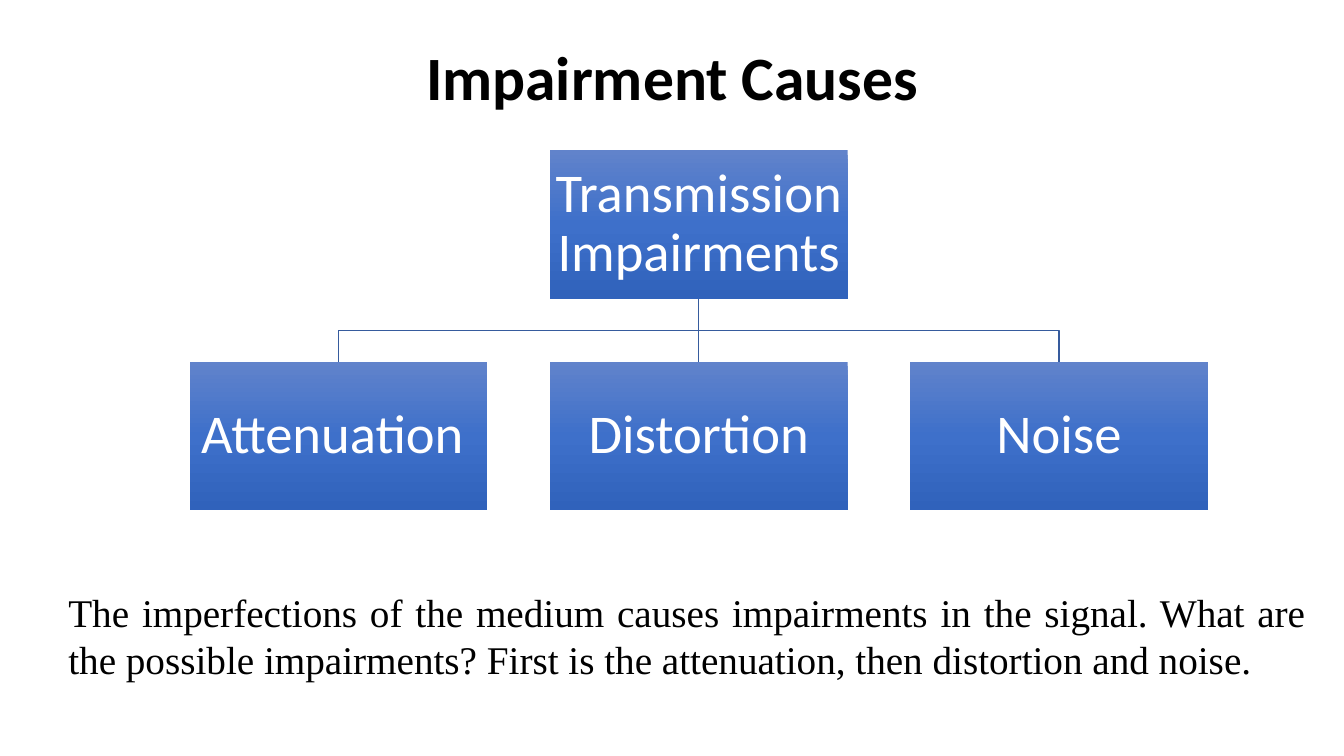
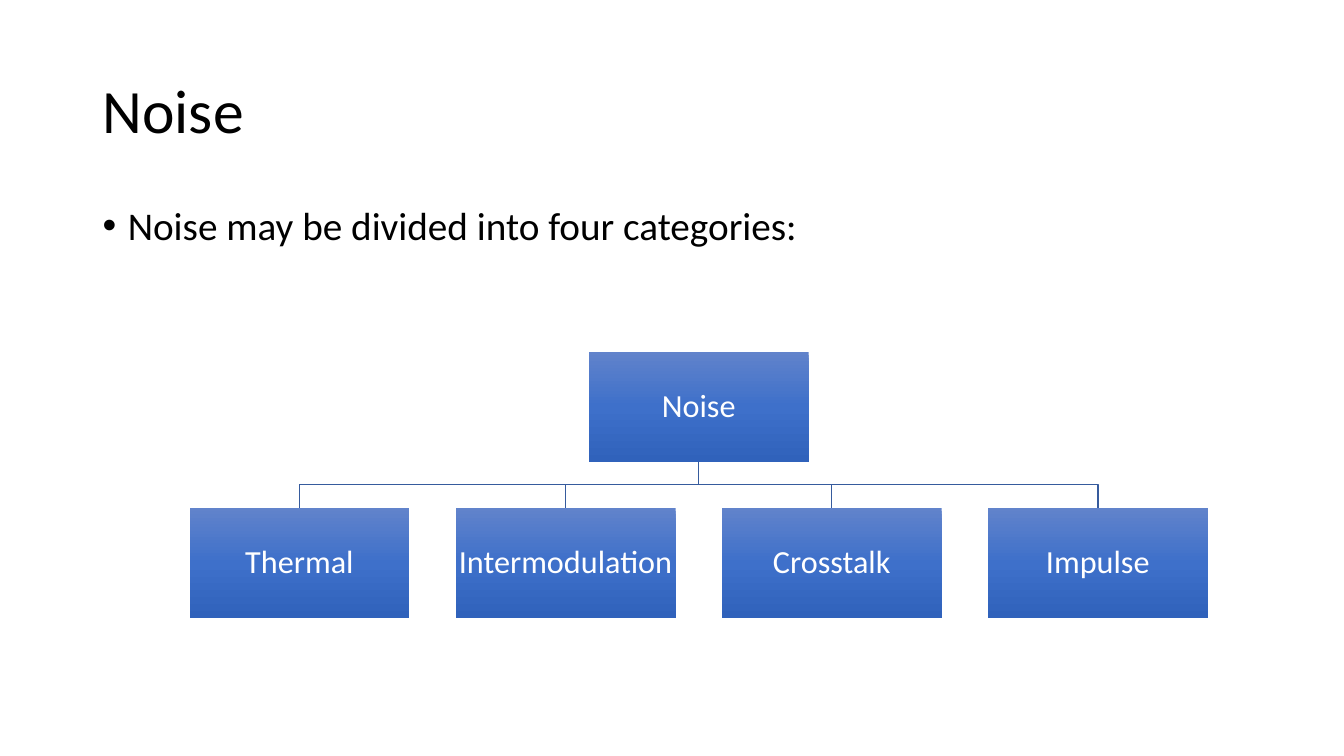
"""Build two slides on transmission impairments and noise, each with a hierarchy chart."""
import dataclasses

import lxml.etree
import pptx
import pptx.dml.color
import pptx.enum.shapes
import pptx.enum.text
import pptx.oxml.ns
import pptx.util

Inches = pptx.util.Inches
Pt = pptx.util.Pt
RGB = pptx.dml.color.RGBColor.from_string
ALIGN = pptx.enum.text.PP_ALIGN
ANCHOR = pptx.enum.text.MSO_ANCHOR
qn = pptx.oxml.ns.qn


@dataclasses.dataclass(frozen=True)
class Theme:
    """Colours, fonts and type sizes shared by the slides."""
    text: str = "000000"
    box_text: str = "FFFFFF"
    branch: str = "365B9D"
    box_stops: tuple = ((0, "6183CB"), (50, "3E70CA"), (100, "3062BB"))
    font: str = "Calibri"
    note_font: str = "Times New Roman"
    title_size: int = 44
    body_size: int = 28
    branch_width: int = 1
    line_spacing: float = 0.9


theme = Theme()


def write(shape, text, size, align=ALIGN.LEFT, anchor=ANCHOR.MIDDLE, color=theme.text,
          font=theme.font, spacing=theme.line_spacing):
    """Fill a shape with one styled paragraph and return it."""
    frame = shape.text_frame
    frame.word_wrap = True
    frame.vertical_anchor = anchor
    paragraph = frame.paragraphs[0]
    paragraph.text = text
    paragraph.alignment = align
    paragraph.line_spacing = spacing
    paragraph.font.size = Pt(size)
    paragraph.font.name = font
    paragraph.font.color.rgb = RGB(color)
    return paragraph


def add_hierarchy(slide, top, root_text, child_texts, size, inset):
    """Draw a root box above a row of child boxes, joined by branches."""
    left, width, gap_ratio = 1.88, 10.1, 0.21
    count = len(child_texts)
    box_width = width / (count + (count - 1) * gap_ratio)
    box_height = box_width / 2
    gap = box_width * gap_ratio
    child_top = top + box_height + gap
    places = [(root_text, left + (width - box_width) / 2, top)]
    places += [(text, left + i * (box_width + gap), child_top)
               for i, text in enumerate(child_texts)]

    boxes = []
    for text, x, y in places:
        box = slide.shapes.add_shape(pptx.enum.shapes.MSO_SHAPE.RECTANGLE, Inches(x), Inches(y),
                                     Inches(box_width), Inches(box_height))
        box.shadow.inherit = False
        box.line.fill.background()
        box.fill.gradient()
        box.fill.gradient_angle = 270
        stops = box._element.spPr.find(qn("a:gradFill")).find(qn("a:gsLst"))
        for stop in list(stops):
            stops.remove(stop)
        for position, color in theme.box_stops:
            stop = lxml.etree.SubElement(stops, qn("a:gs"), pos=str(position * 1000))
            lxml.etree.SubElement(stop, qn("a:srgbClr"), val=color)
        frame = box.text_frame
        frame.margin_left = frame.margin_right = Inches(inset)
        frame.margin_top = frame.margin_bottom = Inches(inset)
        write(box, text, size, ALIGN.CENTER, color=theme.box_text)
        boxes.append(box)

    root, *children = boxes
    root_x = root.left + root.width // 2
    root_y = root.top + root.height
    for i, child in enumerate(children):
        child_x = child.left + child.width // 2
        if 2 * i == count - 1:
            branch = slide.shapes.add_connector(pptx.enum.shapes.MSO_CONNECTOR.STRAIGHT,
                                                root_x, root_y, child_x, child.top)
            branch.begin_connect(root, 2)
            branch.end_connect(child, 0)
            lxml.etree.SubElement(branch._element.spPr, qn("a:effectLst"))
        else:
            middle_y = (root_y + child.top) // 2
            outline = slide.shapes.build_freeform(root_x, root_y)
            outline.add_line_segments([(root_x, middle_y), (child_x, middle_y),
                                       (child_x, child.top)], close=False)
            branch = outline.convert_to_shape()
            branch.fill.background()
            branch.shadow.inherit = False
        branch.line.color.rgb = RGB(theme.branch)
        branch.line.width = Pt(theme.branch_width)


deck = pptx.Presentation()
deck.slide_width = Inches(13.33)
deck.slide_height = Inches(7.5)
blank = deck.slide_layouts[6]

causes = deck.slides.add_slide(blank)
title = causes.shapes.add_textbox(Inches(0.92), Inches(0.4), Inches(11.5), Inches(0.79))
write(title, "Impairment Causes", theme.title_size, ALIGN.CENTER).font.bold = True
add_hierarchy(causes, 1.49, "Transmission Impairments",
              ["Attenuation ", "Distortion", "Noise"], 39, 0.03)
summary = causes.shapes.add_textbox(Inches(0.58), Inches(5.79), Inches(12.47), Inches(1.04))
write(summary, "The imperfections of the medium causes impairments in the signal. What are the "
      "possible impairments? First is the attenuation, then distortion and noise.",
      theme.body_size, ALIGN.JUSTIFY, ANCHOR.TOP, font=theme.note_font, spacing=1.0)
summary.text_frame.auto_size = pptx.enum.text.MSO_AUTO_SIZE.SHAPE_TO_FIT_TEXT

noise = deck.slides.add_slide(blank)
title = noise.shapes.add_textbox(Inches(0.92), Inches(0.4), Inches(11.5), Inches(1.45))
write(title, "Noise", theme.title_size)
intro = noise.shapes.add_textbox(Inches(0.92), Inches(2), Inches(11.5), Inches(4.76))
intro_line = write(intro, "Noise may be divided into four categories:", theme.body_size,
                   anchor=ANCHOR.TOP)
intro_line.space_before = Pt(10)
bullet = intro_line._p.get_or_add_pPr()
bullet.set("marL", str(Inches(0.25)))
bullet.set("indent", str(-Inches(0.25)))
font_mark = lxml.etree.Element(qn("a:buFont"), typeface="Arial")
dot_mark = lxml.etree.Element(qn("a:buChar"), char="•")
default_run = bullet.find(qn("a:defRPr"))
default_run.addprevious(font_mark)
default_run.addprevious(dot_mark)
add_hierarchy(noise, 3.49, "Noise",
              ["Thermal", "Intermodulation", "Crosstalk", "Impulse"], 23, 0.02)

deck.save("out.pptx")
